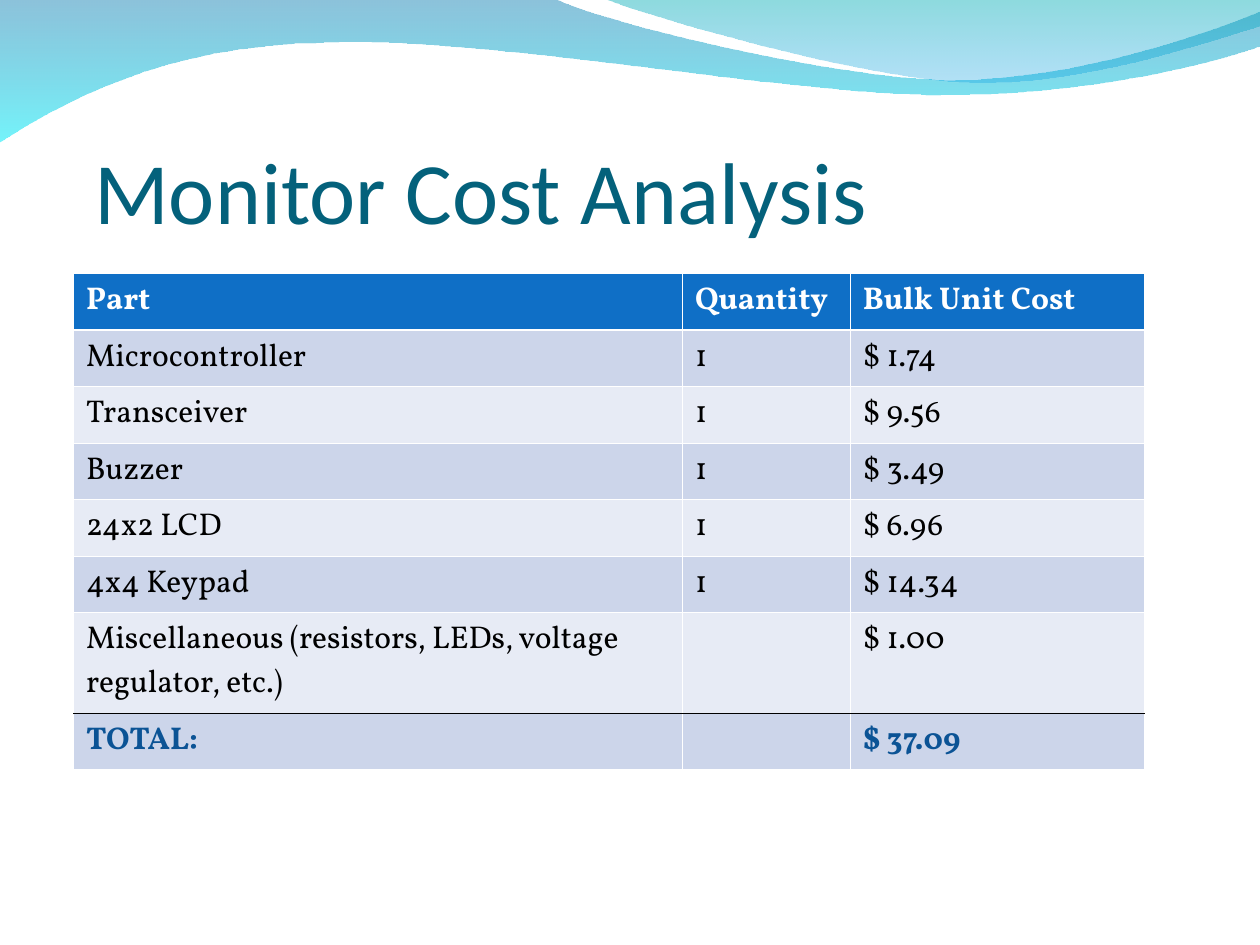
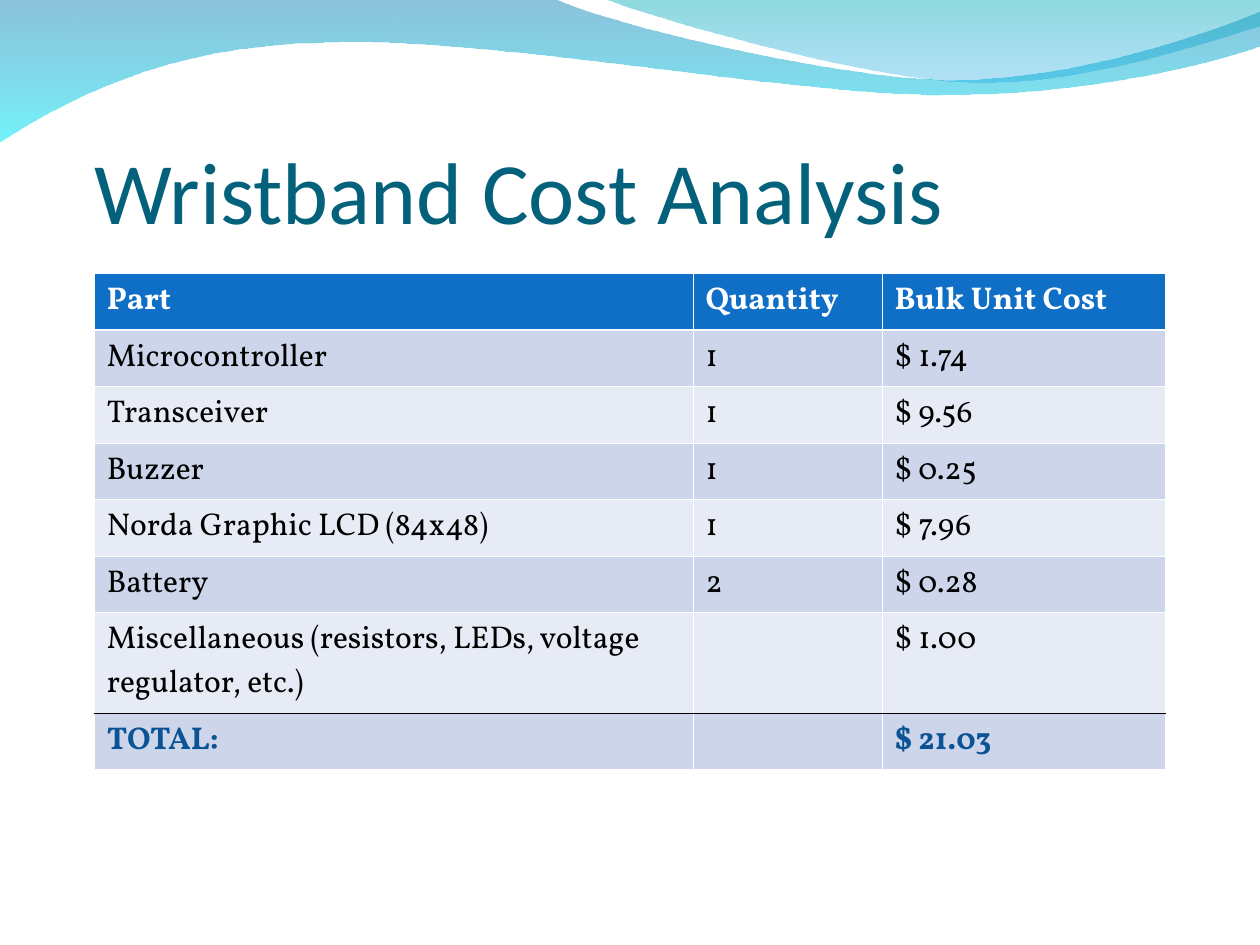
from dataclasses import dataclass
from itertools import chain

from lxml.etree import SubElement
from pptx import Presentation
from pptx.dml.color import RGBColor
from pptx.enum.text import MSO_ANCHOR, MSO_AUTO_SIZE, PP_ALIGN
from pptx.oxml.ns import qn
from pptx.util import Cm, Pt


@dataclass(frozen=True)
class Theme:
    title_font: str = "Calibri"
    table_font: str = "Vollkorn"
    title_size: float = 50
    table_size: float = 18
    thin_line: float = 0.45
    thick_line: float = 1.47
    title: str = "04617B"
    header: str = "0F6FC6"
    dark_band: str = "CCD5EA"
    light_band: str = "E7EBF5"
    total: str = "0B5395"
    white: str = "FFFFFF"
    black: str = "000000"
    back_wave: tuple = (("0079AF", 45), ("00EBF8", 55))
    front_wave: tuple = (("00ADB6", 45), ("009BE5", 30))


@dataclass(frozen=True)
class Box:
    left: float
    top: float
    width: float
    height: float


THEME = Theme()
PAGE = Box(0, 0, 25.4, 19.05)
TITLE_BOX = Box(1.9, 1.69, 21.59, 3.18)
TABLE_TOP = 5.51
ROW_HEIGHT = 1.03
TALL_ROW_HEIGHT = 1.78

BACK_WAVE = [
    [(0, -0.03)],
    [(11.18, -0.03)],
    [(12.09, 0.43), (16.87, 1.6), (19.25, 1.6)],
    [(21.67, 1.6), (24.33, 0.66), (25.4, 0.23)],
    [(25.43, 0.91)],
    [(24.97, 1.12), (22.1, 1.93), (18.95, 1.91)],
    [(15.8, 1.91), (9.7, 0.71), (6.53, 0.86)],
    [(3.28, 0.89), (1.17, 2.11), (-0.03, 2.87)],
]
FRONT_WAVE = [
    [(12.17, -0.03)],
    [(12.93, 0.28), (17.32, 1.57), (19.53, 1.65)],
    [(21.74, 1.75), (24.41, 0.81), (25.4, 0.53)],
    [(25.4, 0)],
]

HEADINGS = ("Part", "Quantity", "Bulk Unit Cost")
MISCELLANEOUS = ("Miscellaneous (resistors, LEDs, voltage regulator, etc.)", "", "$ 1.00")
MONITOR_PARTS = [
    ("Microcontroller", "1", "$ 1.74"),
    ("Transceiver", "1", "$ 9.56"),
    ("Buzzer", "1", "$ 3.49"),
    ("24x2 LCD", "1", "$ 6.96"),
    ("4x4 Keypad", "1", "$ 14.34"),
]
WRISTBAND_PARTS = [
    ("Microcontroller", "1", "$ 1.74"),
    ("Transceiver", "1", "$ 9.56"),
    ("Buzzer", "1", "$ 0.25"),
    ("Norda Graphic LCD (84x48)", "1", "$ 7.96"),
    ("Battery", "2", "$ 0.28"),
]


def style_font(paragraph, name, size, color, bold=False):
    paragraph.font.name = name
    paragraph.font.size = Pt(size)
    paragraph.font.bold = bold
    paragraph.font.color.rgb = RGBColor.from_string(color)


def bend_curves(wave, segments):
    lines = wave.element.iter(qn("a:lnTo"))
    steps = iter(list(lines))
    for segment in segments[1:]:
        targets = [next(steps) for _ in segment]
        if len(targets) == 3:
            parent = targets[0].getparent()
            curve = SubElement(parent, qn("a:cubicBezTo"))
            parent.replace(targets[0], curve)
            curve.append(targets[0][0])
            for target in targets[1:]:
                curve.append(target[0])
                parent.remove(target)


def add_wave(slide, box, segments, stops):
    points = [(Cm(box.left + x), Cm(box.top + y)) for x, y in chain.from_iterable(segments)]
    builder = slide.shapes.build_freeform(*points[0])
    builder.add_line_segments(points[1:], close=True)
    wave = builder.convert_to_shape()
    bend_curves(wave, segments)
    wave.shadow.inherit = False
    wave.line.fill.background()
    wave.fill.gradient()
    wave.fill.gradient_angle = 270
    for stop, (color, _) in zip(wave.fill.gradient_stops, stops):
        stop.color.rgb = RGBColor.from_string(color)
    for color_element, (_, opacity) in zip(wave.element.iter(qn("a:srgbClr")), stops):
        SubElement(color_element, qn("a:alpha"), val=str(opacity * 1000))
    return wave


def add_waves_to_master(presentation, slide, box):
    waves = [
        add_wave(slide, box, BACK_WAVE, THEME.back_wave),
        add_wave(slide, box, FRONT_WAVE, THEME.front_wave),
    ]
    master_tree = presentation.slide_master.shapes.element
    for position, wave in enumerate(waves, start=2):
        master_tree.insert(position, wave.element)


def fill_title(slide, box, text):
    title = slide.shapes.title
    title.left, title.top = Cm(box.left), Cm(box.top)
    title.width, title.height = Cm(box.width), Cm(box.height)
    frame = title.text_frame
    frame.text = text
    frame.word_wrap = True
    frame.auto_size = MSO_AUTO_SIZE.NONE
    frame.vertical_anchor = MSO_ANCHOR.BOTTOM
    frame.margin_left = frame.margin_right = frame.margin_bottom = 0
    frame.margin_top = Cm(0.13)
    paragraph = frame.paragraphs[0]
    paragraph.alignment = PP_ALIGN.LEFT
    style_font(paragraph, THEME.title_font, THEME.title_size, THEME.title)


def set_borders(cell, top, bottom):
    side = (THEME.white, THEME.thin_line)
    properties = cell._tc.get_or_add_tcPr()
    for tag, (color, width) in zip(("lnL", "lnR", "lnT", "lnB"), (side, side, top, bottom)):
        line = SubElement(properties, qn(f"a:{tag}"), w=str(Pt(width)))
        fill = SubElement(line, qn("a:solidFill"))
        SubElement(fill, qn("a:srgbClr"), val=color)


def row_style(index, last):
    if index == 0:
        return THEME.header, THEME.white, True
    band = THEME.dark_band if index % 2 else THEME.light_band
    if index == last:
        return band, THEME.total, True
    return band, THEME.black, False


def add_cost_table(slide, box, column_widths, rows):
    last = len(rows) - 1
    frame = slide.shapes.add_table(
        len(rows), len(column_widths), Cm(box.left), Cm(box.top), Cm(box.width), Cm(box.height)
    )
    table = frame.table
    table.horz_banding = False
    for column, width in zip(table.columns, column_widths):
        column.width = Cm(width)

    thin = (THEME.white, THEME.thin_line)
    rules = [thin] * (len(rows) + 1)
    rules[1] = (THEME.white, THEME.thick_line)
    rules[last] = (THEME.black, THEME.thin_line)
    for index, values in enumerate(rows):
        table.rows[index].height = Cm(TALL_ROW_HEIGHT if values == MISCELLANEOUS else ROW_HEIGHT)
        background, color, bold = row_style(index, last)
        for cell, value in zip(table.rows[index].cells, values):
            set_borders(cell, rules[index], rules[index + 1])
            cell.fill.solid()
            cell.fill.fore_color.rgb = RGBColor.from_string(background)
            if value:
                cell.text = value
            style_font(cell.text_frame.paragraphs[0], THEME.table_font, THEME.table_size, color, bold)


def add_cost_slide(presentation, title, table_left, column_widths, parts, total):
    slide = presentation.slides.add_slide(presentation.slide_layouts.get_by_name("Title Only"))
    fill_title(slide, TITLE_BOX, title)
    rows = [HEADINGS, *parts, MISCELLANEOUS, ("TOTAL:", "", total)]
    height = ROW_HEIGHT * (len(rows) - 1) + TALL_ROW_HEIGHT
    add_cost_table(slide, Box(table_left, TABLE_TOP, sum(column_widths), height), column_widths, rows)
    return slide


def main():
    presentation = Presentation()
    presentation.slide_width = Cm(PAGE.width)
    presentation.slide_height = Cm(PAGE.height)
    first_slide = add_cost_slide(
        presentation, "Monitor Cost Analysis", 1.48, (12.28, 3.38, 5.93), MONITOR_PARTS, "$ 37.09"
    )
    add_waves_to_master(presentation, first_slide, PAGE)
    add_cost_slide(
        presentation, "Wristband Cost Analysis", 1.9, (12.07, 3.81, 5.71), WRISTBAND_PARTS, "$ 21.03"
    )
    presentation.save("out.pptx")


if __name__ == "__main__":
    main()
